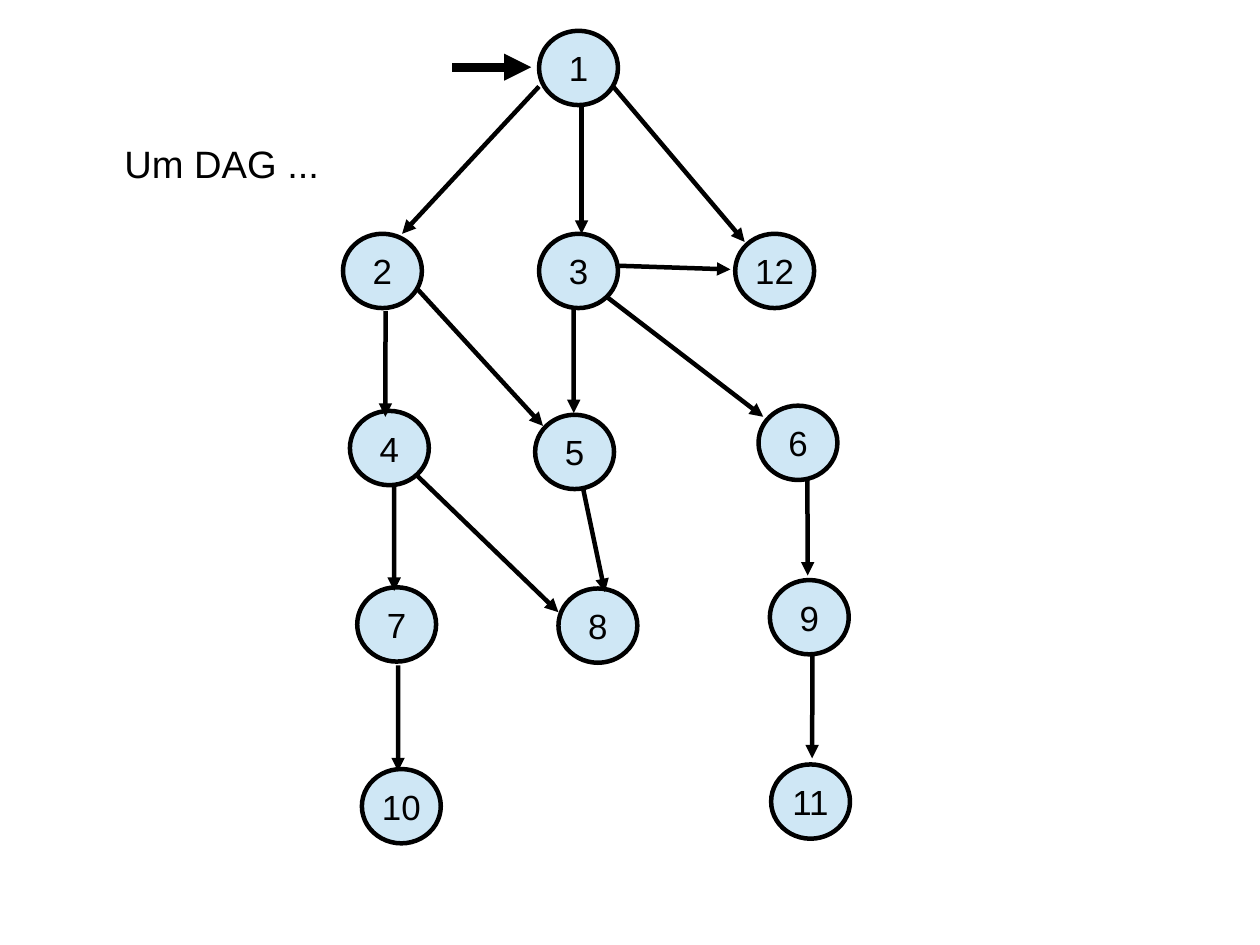
import dataclasses

import pptx
import pptx.dml.color
import pptx.enum.shapes
import pptx.enum.text
import pptx.oxml.ns
import pptx.util
from lxml import etree


@dataclasses.dataclass(frozen=True)
class Theme:
    font: str = "Arial"
    ink: str = "000000"
    vertex_fill: str = "CFE7F5"
    label_size: float = 22
    caption_size: float = 24
    stroke: float = 2.83
    entry_stroke: float = 5.67


THEME = Theme()
WIDTH = pptx.util.Cm(28)
HEIGHT = pptx.util.Cm(21)
VERTEX_WIDTH = pptx.util.Inches(0.69)
VERTEX_HEIGHT = pptx.util.Inches(0.65)

# Centre of each vertex, in percent of the slide's width and height
VERTICES = {
    "1": (45.91, 7.19),
    "2": (30.35, 28.67),
    "3": (45.91, 28.67),
    "12": (61.48, 28.67),
    "4": (30.9, 47.41),
    "5": (45.6, 47.82),
    "6": (63.33, 46.86),
    "7": (31.48, 66.08),
    "8": (47.45, 66.2),
    "9": (64.23, 65.31),
    "10": (31.85, 85.31),
    "11": (64.33, 84.82),
}

# Source, its port, target, its port; ports are offsets from the centre
# in vertex widths and heights
EDGES = [
    ("1", (-0.5, 0.25), "2", (0.25, -0.5)),
    ("1", (0.04, 0.5), "3", (0.04, -0.5)),
    ("1", (0.44, 0.25), "12", (-0.38, -0.39)),
    ("2", (0.04, 0.54), "4", (-0.05, -0.42)),
    ("2", (0.44, 0.24), "5", (-0.4, -0.35)),
    ("3", (-0.06, 0.48), "5", (-0.01, -0.52)),
    ("3", (0.36, 0.35), "6", (-0.44, -0.35)),
    ("3", (0.5, -0.07), "12", (-0.56, -0.02)),
    ("4", (0.06, 0.48), "7", (-0.03, -0.45)),
    ("4", (0.34, 0.36), "8", (-0.5, -0.18)),
    ("5", (0.11, 0.5), "8", (0.09, -0.45)),
    ("6", (0.12, 0.5), "9", (-0.02, -0.56)),
    ("7", (0.02, 0.55), "10", (-0.04, -0.47)),
    ("9", (0.04, 0.48), "11", (0.02, -0.58)),
]
ENTRY = ("1", (-1.6, -0.01), "1", (-0.6, -0.01))


def rgb(value):
    return pptx.dml.color.RGBColor.from_string(value)


def share(x, y):
    """Turn percentages of the slide into lengths."""
    return round(WIDTH * x / 100), round(HEIGHT * y / 100)


def port(vertex, offset):
    x, y = share(*VERTICES[vertex])
    return round(x + offset[0] * VERTEX_WIDTH), round(y + offset[1] * VERTEX_HEIGHT)


def write(frame, text, size):
    frame.text = text
    frame.word_wrap = False
    font = frame.paragraphs[0].runs[0].font
    font.name = THEME.font
    font.size = pptx.util.Pt(size)
    font.color.rgb = rgb(THEME.ink)


def add_vertex(slide, label):
    left, top = port(label, (-0.5, -0.5))
    vertex = slide.shapes.add_shape(
        pptx.enum.shapes.MSO_SHAPE.OVAL, left, top, VERTEX_WIDTH, VERTEX_HEIGHT)
    vertex.shadow.inherit = False
    vertex.fill.solid()
    vertex.fill.fore_color.rgb = rgb(THEME.vertex_fill)
    vertex.line.color.rgb = rgb(THEME.ink)
    vertex.line.width = pptx.util.Pt(THEME.stroke)
    frame = vertex.text_frame
    write(frame, label, THEME.label_size)
    frame.margin_left = frame.margin_right = pptx.util.Inches(0.12)
    frame.margin_top = frame.margin_bottom = pptx.util.Inches(0.07)
    frame.vertical_anchor = pptx.enum.text.MSO_ANCHOR.MIDDLE
    frame.paragraphs[0].alignment = pptx.enum.text.PP_ALIGN.CENTER


def add_edge(slide, source, source_port, target, target_port, stroke=THEME.stroke):
    edge = slide.shapes.add_connector(
        pptx.enum.shapes.MSO_CONNECTOR.STRAIGHT,
        *port(source, source_port), *port(target, target_port))
    edge.line.color.rgb = rgb(THEME.ink)
    edge.line.width = pptx.util.Pt(stroke)
    qn = pptx.oxml.ns.qn
    etree.SubElement(edge.line._get_or_add_ln(), qn("a:tailEnd"), type="triangle")
    etree.SubElement(edge._element.spPr, qn("a:effectLst"))


def add_caption(slide, text):
    caption = slide.shapes.add_textbox(*share(8.98, 14.27), *share(17.24, 5.68))
    write(caption.text_frame, text, THEME.caption_size)
    caption.text_frame.auto_size = pptx.enum.text.MSO_AUTO_SIZE.SHAPE_TO_FIT_TEXT


def main():
    deck = pptx.Presentation()
    deck.slide_width, deck.slide_height = WIDTH, HEIGHT
    slide = deck.slides.add_slide(deck.slide_layouts[6])
    for label in VERTICES:
        add_vertex(slide, label)
    for edge in EDGES:
        add_edge(slide, *edge)
    add_edge(slide, *ENTRY, stroke=THEME.entry_stroke)
    add_caption(slide, "Um DAG ...")
    deck.save("out.pptx")


if __name__ == "__main__":
    main()
